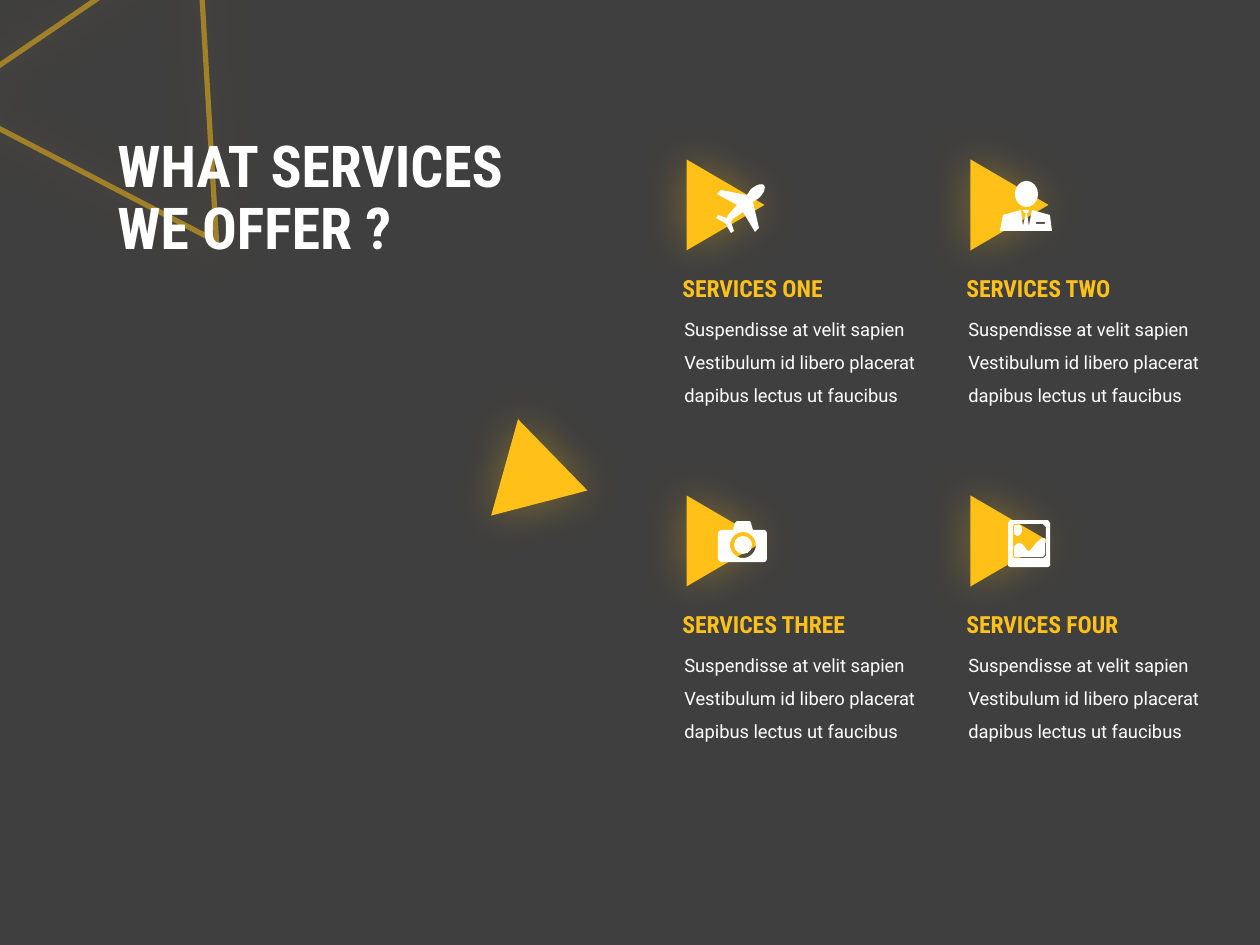
"""Build the services slide: a title, accent triangles and a two by two grid of services."""
import pptx
import pptx.util
import pptx.dml.color
import pptx.enum.shapes
import pptx.enum.text
import pptx.oxml.ns
from lxml import etree

PX = 914400 / 126
GOLD, WHITE, DARK = "FFC118", "FFFFFF", "3F3F3F"
HEAD_FONT, BODY_FONT = "Roboto Condensed", "Roboto"

TITLE = ["WHAT SERVICES", "WE OFFER ?"]
BODY = "Suspendisse at velit sapien Vestibulum id libero placerat dapibus lectus ut faucibus"
SERVICES = ["SERVICES ONE", "SERVICES TWO", "SERVICES THREE", "SERVICES FOUR"]
COLUMNS, STEP_X, STEP_Y = 2, 284, 336
TRIANGLE = (680, 166, 91, 78)
HEADING = (670, 268, 232, 42)
DETAIL = (672, 301, 266, 110)

# Contours: a pair is a corner, six numbers are a cubic curve.
PLANE = [[
    (764, 185), (761, 183, 756, 185, 751, 189), (747, 195), (721, 190), (717, 194),
    (737, 205), (728, 215), (727, 218), (718, 215), (716, 218), (725, 223), (731, 233),
    (734, 231), (731, 222), (733, 219), (743, 212), (755, 232), (759, 228), (753, 202),
    (759, 198), (764, 193, 766, 188, 764, 185)]]
SUIT = [
    [(1050, 215), (1032, 210), (1029, 226), (1027, 213), (1028, 213), (1029, 210),
     (1023, 210), (1024, 213), (1026, 213), (1023, 226), (1021, 210), (1003, 215),
     (1000, 231), (1052, 231)],
    [(1045, 224), (1036, 224), (1036, 222), (1045, 222)]]
CAMERA = [
    [(764, 530), (753, 530), (751, 523), (750, 521), (737, 521), (735, 523), (733, 530),
     (722, 530), (720, 530, 718, 532, 718, 534), (718, 558),
     (718, 560, 720, 562, 722, 562), (764, 562), (766, 562, 767, 560, 767, 558),
     (767, 534), (767, 532, 766, 530, 764, 530)],
    [(743, 558), (736, 558, 730, 552, 730, 545), (730, 538, 736, 532, 743, 532),
     (750, 532, 756, 538, 756, 545), (756, 552, 750, 558, 743, 558)]]
HILLS = [[
    (1045, 538), (1038, 537, 1033, 549, 1029, 551), (1026, 551, 1024, 543, 1019, 543),
    (1018, 543, 1016, 544, 1014, 547), (1014, 554), (1014, 556, 1014, 557, 1016, 557),
    (1042, 557), (1043, 557, 1045, 556, 1045, 554)]]
SUN = [[
    (1022, 530), (1022, 528, 1022, 526, 1019, 525), (1016, 525),
    (1014, 525, 1014, 527, 1014, 528), (1014, 534), (1017, 536),
    (1020, 536, 1022, 533, 1022, 530)]]
FRAME = [
    [(1048, 520), (1010, 520), (1008, 523), (1008, 566), (1010, 567), (1048, 567),
     (1050, 566), (1050, 523)],
    [(1046, 538), (1046, 556), (1043, 558), (1014, 558), (1013, 556), (1013, 527),
     (1014, 524), (1043, 524), (1046, 527)]]
ICONS = [
    {"outlines": [PLANE], "ellipses": []},
    {"outlines": [SUIT], "ellipses": [(1015, 181, 23, 26)]},
    {"outlines": [CAMERA], "ellipses": [(734, 536, 18, 18)]},
    {"outlines": [HILLS, SUN, FRAME], "ellipses": []}]


def emu(*lengths):
    return [round(v * PX) for v in lengths]


def rgb(value):
    return pptx.dml.color.RGBColor.from_string(value)


def sub(parent, tag, **attrs):
    return etree.SubElement(parent, pptx.oxml.ns.qn(tag), attrs)


def paint(sp, colour):
    sp.shadow.inherit = False
    sp.fill.solid()
    sp.fill.fore_color.rgb = rgb(colour)
    sp.line.fill.background()


def add_glow(sp):
    sp.shadow.inherit = False
    effects = sp._element.spPr.find(pptx.oxml.ns.qn("a:effectLst"))
    shadow = sub(effects, "a:outerShdw", blurRad=str(pptx.util.Pt(25)), dist="0", dir="0",
                 algn="ctr", rotWithShape="0")
    sub(sub(shadow, "a:srgbClr", val=GOLD), "a:alpha", val="35000")


def add_triangle(s, box, rotation, filled=True):
    sp = s.add_shape(pptx.enum.shapes.MSO_SHAPE.ISOSCELES_TRIANGLE, *emu(*box))
    sp.rotation = rotation
    if filled:
        paint(sp, GOLD)
    else:
        sp.fill.background()
        sp.line.color.rgb = rgb(GOLD)
        sp.line.width = pptx.util.Pt(3)
        colour = sp.line._ln.find(".//" + pptx.oxml.ns.qn("a:srgbClr"))
        sub(colour, "a:alpha", val="50000")
    add_glow(sp)


def add_text(s, box, lines, size, font, colour, bold=False, spacing=1.0, grow=True):
    sp = s.add_textbox(*emu(*box))
    tf = sp.text_frame
    tf.word_wrap = True
    if grow:
        tf.auto_size = pptx.enum.text.MSO_AUTO_SIZE.SHAPE_TO_FIT_TEXT
    else:
        tf.vertical_anchor = pptx.enum.text.MSO_ANCHOR.MIDDLE
    p = tf.paragraphs[0]
    p.line_spacing = spacing
    for i, line in enumerate(lines):
        if i:
            p.add_line_break()
        r = p.add_run()
        r.text = line
        r.font.size = pptx.util.Pt(size)
        r.font.name = font
        r.font.bold = bold
        r.font.color.rgb = rgb(colour)


def flatten(contour, steps=8):
    points = [contour[0]]
    for part in contour[1:]:
        if len(part) == 2:
            points.append(part)
            continue
        knots = [points[-1], part[:2], part[2:4], part[4:]]
        for t in (n / steps for n in range(1, steps + 1)):
            weights = [(1 - t) ** 3, 3 * t * (1 - t) ** 2, 3 * t * t * (1 - t), t ** 3]
            points.append(tuple(sum(w * k[axis] for w, k in zip(weights, knots))
                                for axis in (0, 1)))
    return [emu(*point) for point in points]


def add_icon(s, icon):
    shapes = s.add_group_shape().shapes
    for outline in icon["outlines"]:
        first, *holes = [flatten(contour) for contour in outline]
        builder = shapes.build_freeform(*first[0])
        builder.add_line_segments(first[1:])
        for hole in holes:
            builder.move_to(*hole[0])
            builder.add_line_segments(hole[1:])
        paint(builder.convert_to_shape(), WHITE)
    for box in icon["ellipses"]:
        paint(shapes.add_shape(pptx.enum.shapes.MSO_SHAPE.OVAL, *emu(*box)), WHITE)


def main():
    prs = pptx.Presentation()
    prs.slide_width, prs.slide_height = emu(1260, 945)
    slide = prs.slides.add_slide(prs.slide_layouts[6])
    slide.background.fill.solid()
    slide.background.fill.fore_color.rgb = rgb(DARK)
    s = slide.shapes

    add_triangle(s, (-79, -37, 312, 261), 266.6, filled=False)
    add_text(s, (105, 100, 532, 199), TITLE, 33, HEAD_FONT, WHITE, True, 0.9, grow=False)
    for i, (name, icon) in enumerate(zip(SERVICES, ICONS)):
        row, column = divmod(i, COLUMNS)
        triangle, heading, detail = [
            (x + column * STEP_X, y + row * STEP_Y, w, h)
            for x, y, w, h in (TRIANGLE, HEADING, DETAIL)]
        add_triangle(s, triangle, 90)
        add_text(s, detail, [BODY], 10.5, BODY_FONT, WHITE, spacing=1.5)
        add_text(s, heading, [name], 13.5, HEAD_FONT, GOLD, True)
        add_icon(s, icon)
    add_triangle(s, (496, 436, 100, 86), 105.6)
    prs.save("out.pptx")


if __name__ == "__main__":
    main()
